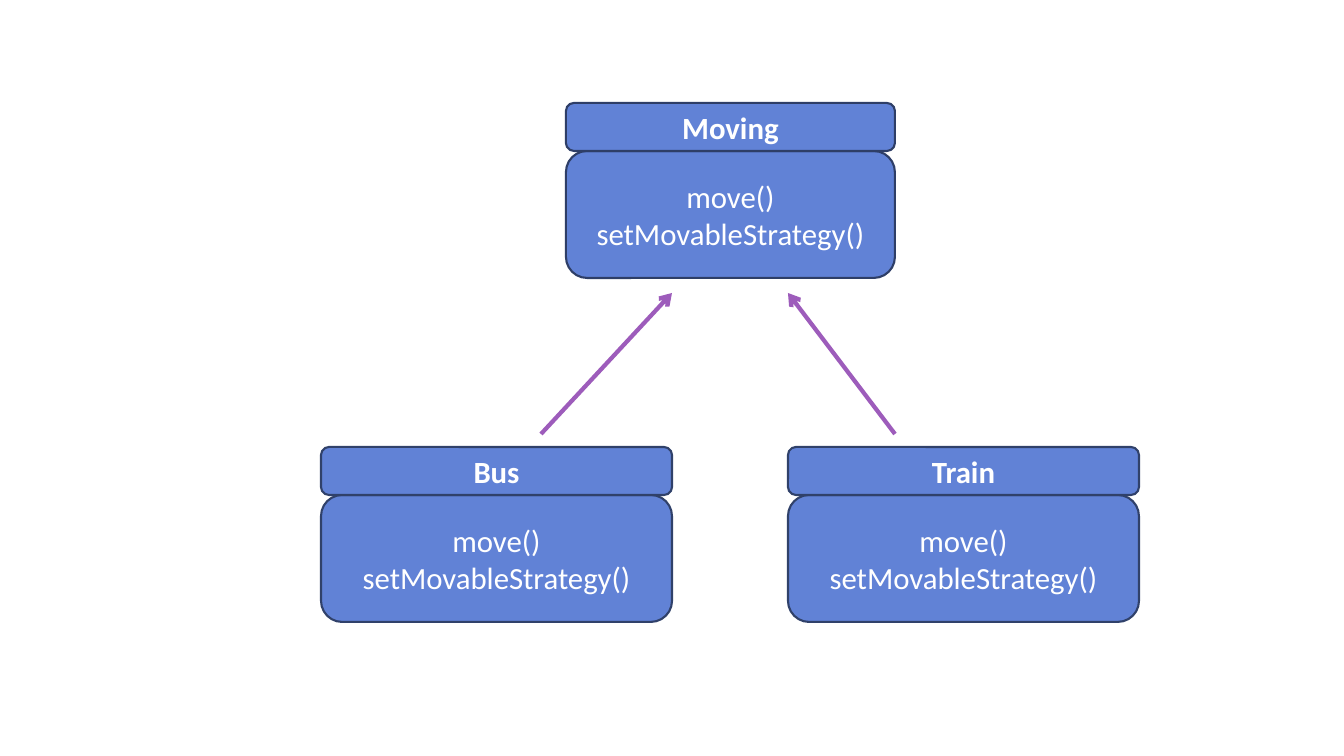
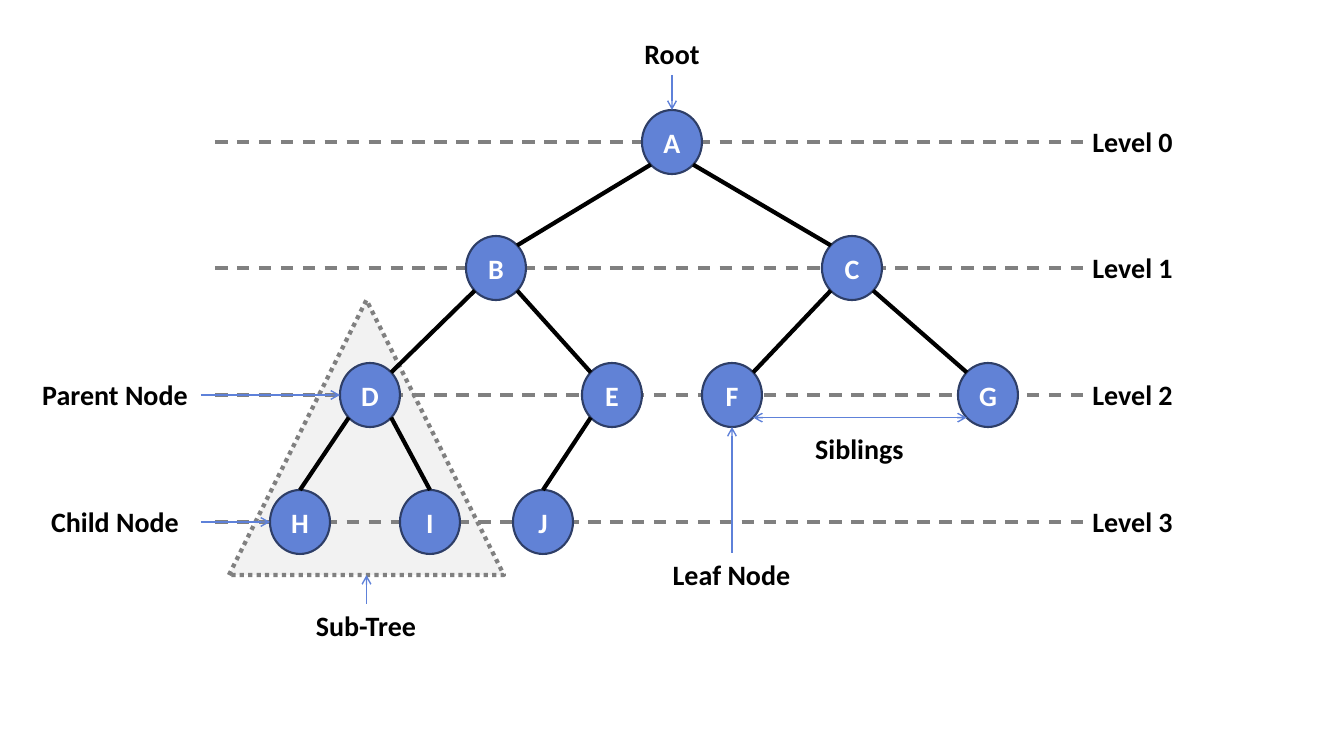
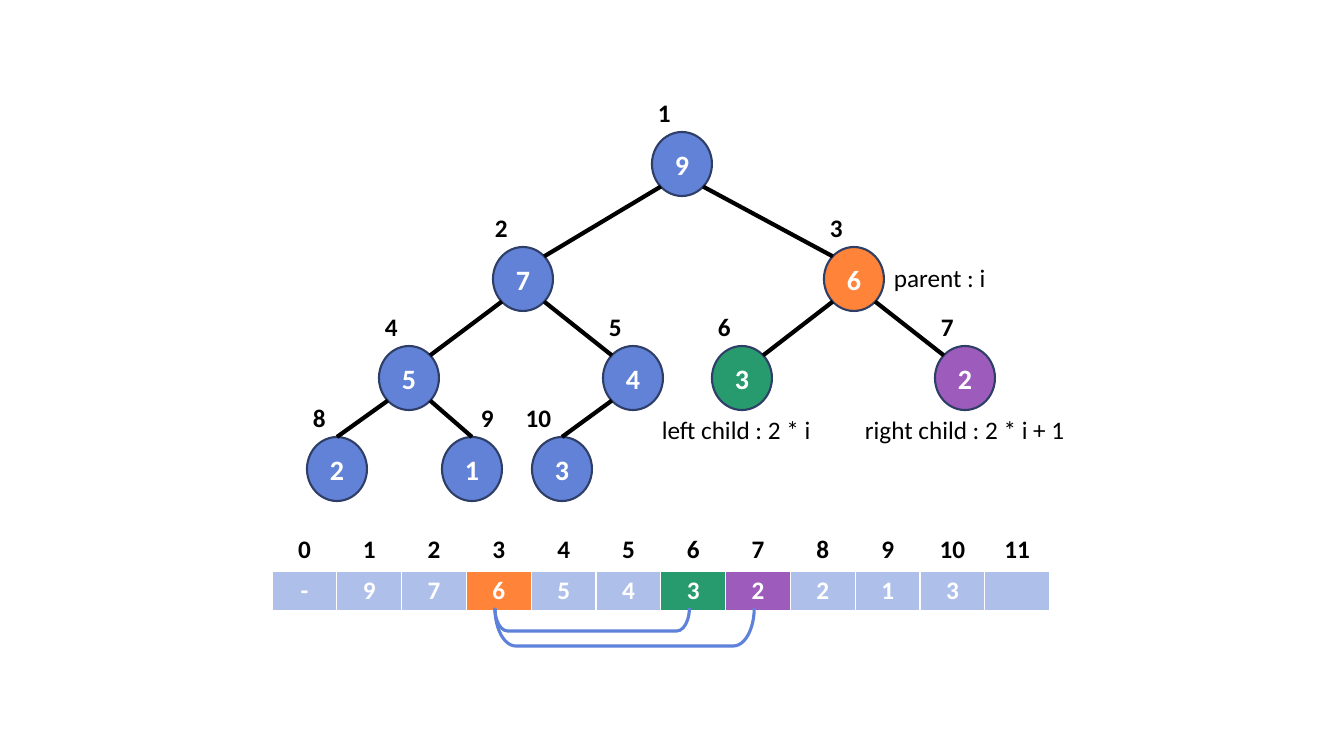
from collections import namedtuple
from dataclasses import dataclass
from math import sqrt

from lxml.etree import SubElement
from pptx import Presentation
from pptx.dml.color import RGBColor
from pptx.enum.dml import MSO_LINE
from pptx.enum.shapes import MSO_CONNECTOR, MSO_SHAPE
from pptx.enum.text import MSO_ANCHOR, PP_ALIGN
from pptx.oxml.ns import qn
from pptx.util import Emu, Pt

EMU_PER_PIXEL = 914400 / 100.8
Box = namedtuple("Box", "left top width height")


@dataclass(frozen=True)
class Theme:
    """Colours, type sizes and line widths that the slides share."""
    font: str = "Calibri"
    card_size: int = 22
    label_size: int = 20
    note_size: int = 18
    blue: str = "6182D6"
    pale_blue: str = "AEBFEA"
    pointer_blue: str = "5E81D9"
    orange: str = "FF843A"
    green: str = "289B6E"
    purple: str = "9D5CBB"
    outline: str = "2E3E67"
    card_outline: str = "30416A"
    grey: str = "808080"
    pale_grey: str = "F2F2F2"
    black: str = "000000"
    white: str = "FFFFFF"
    outline_width: float = 1.5
    edge_width: float = 3
    guide_width: float = 2.25
    pointer_width: float = 1


THEME = Theme()
NODE_WIDTH, NODE_HEIGHT = 60, 64
DIAGONAL_X = NODE_WIDTH / 2 / sqrt(2)
DIAGONAL_Y = NODE_HEIGHT / 2 / sqrt(2)


def px(length):
    """Turn pixels into EMU."""
    return Emu(round(length * EMU_PER_PIXEL))


def rgb(code):
    """Turn a hex code into a colour."""
    return RGBColor.from_string(code)


def write(frame, text, size=THEME.label_size, color=THEME.black, bold=True,
          align=PP_ALIGN.CENTER):
    """Fill a text frame, one paragraph for each line of text."""
    for number, line in enumerate(text.split("\n")):
        para = frame.add_paragraph() if number else frame.paragraphs[0]
        para.alignment = align
        span = para.add_run()
        span.text = line
        span.font.name = THEME.font
        span.font.size = Pt(size)
        span.font.bold = bold
        span.font.color.rgb = rgb(color)


def add_label(page, box, text, wrap=False, **text_format):
    """Add a text box."""
    label = page.shapes.add_textbox(*map(px, box))
    label.text_frame.word_wrap = wrap
    write(label.text_frame, text, **text_format)


def add_figure(shapes, kind, box, fill=THEME.blue, line=THEME.outline,
               width=THEME.outline_width):
    """Add a preset shape without a shadow; fill may be None."""
    figure = shapes.add_shape(kind, *map(px, box))
    figure.shadow.inherit = False
    if fill:
        figure.fill.solid()
        figure.fill.fore_color.rgb = rgb(fill)
    else:
        figure.fill.background()
    figure.line.color.rgb = rgb(line)
    figure.line.width = Pt(width)
    return figure


def add_line(page, start, end, color=THEME.black, width=THEME.edge_width,
             dash=None, arrows=()):
    """Add a straight line; arrows names the ends that carry a head."""
    connector = page.shapes.add_connector(
        MSO_CONNECTOR.STRAIGHT, *map(px, (*start, *end)))
    connector.line.color.rgb = rgb(color)
    connector.line.width = Pt(width)
    if dash:
        connector.line.dash_style = dash
    properties = connector._element.spPr
    for arrow in arrows:
        SubElement(properties.find(qn("a:ln")), qn(f"a:{arrow}"), type="arrow")
    SubElement(properties, qn("a:effectLst"))


def add_pointer(page, start, end, arrows=("tailEnd",)):
    """Add a thin blue arrow."""
    add_line(page, start, end, color=THEME.pointer_blue,
             width=THEME.pointer_width, arrows=arrows)


def add_class_card(page, box, name, methods, outline):
    """Add a class: its methods under a header with its name."""
    header_height = 48
    group = page.shapes.add_group_shape()
    parts = (
        (Box(box.left, box.top + header_height, box.width,
             box.height - header_height), methods, False),
        (Box(box.left, box.top, box.width, header_height), name, True),
    )
    for part, text, bold in parts:
        card = add_figure(group.shapes, MSO_SHAPE.ROUNDED_RECTANGLE, part,
                          line=outline)
        card.text_frame.vertical_anchor = MSO_ANCHOR.MIDDLE
        write(card.text_frame, text, size=THEME.card_size, color=THEME.white,
              bold=bold)


def add_tree(page, box, texts, columns, rows, fills=None):
    """Draw a binary tree in heap order and return the node centres by index.

    Columns and rows are the centres of nodes and levels within the box.
    """
    fills = fills or {}
    centres = {}
    for index, (text, column) in enumerate(zip(texts, columns), start=1):
        x, y = box.left + column, box.top + rows[index.bit_length() - 1]
        centres[index] = x, y
        node = add_figure(
            page.shapes, MSO_SHAPE.OVAL,
            Box(x - NODE_WIDTH / 2, y - NODE_HEIGHT / 2, NODE_WIDTH, NODE_HEIGHT),
            fill=fills.get(index, THEME.blue))
        node.text_frame.vertical_anchor = MSO_ANCHOR.MIDDLE
        write(node.text_frame, text, color=THEME.white)
    for index, (x, y) in centres.items():
        if index == 1:
            continue
        parent_x, parent_y = centres[index // 2]
        side = DIAGONAL_X if x > parent_x else -DIAGONAL_X
        if index.bit_length() == len(rows):
            end = x, y - NODE_HEIGHT / 2
        else:
            end = x - side, y - DIAGONAL_Y
        add_line(page, (parent_x + side, parent_y + DIAGONAL_Y), end)
    return centres


def add_levels(page, box, rows):
    """Draw a dashed guide across the box for each level, with its label."""
    right = box.left + box.width
    for level, row in enumerate(rows):
        y = box.top + row
        add_line(page, (box.left, y), (right, y), color=THEME.grey,
                 width=THEME.guide_width, dash=MSO_LINE.DASH)
        add_label(page, Box(right - 1, y - 22, 101, 43), f"Level {level}")


def add_array(page, box, values, fills):
    """Add the array as a table with a row of indexes over its values."""
    table = page.shapes.add_table(2, len(values), *map(px, box)).table
    table.first_row = table.horz_banding = False
    for column in table.columns:
        column.width = px(box.width / len(values))
    for row in table.rows:
        row.height = px(box.height / 2)
    for index, value in enumerate(values):
        cells = (
            (str(index), THEME.black, THEME.white, 3),
            (value, THEME.white, fills.get(index, THEME.pale_blue), 1),
        )
        for row, (text, color, fill, bottom_width) in enumerate(cells):
            cell = table.cell(row, index)
            add_borders(cell, bottom_width)
            cell.fill.solid()
            cell.fill.fore_color.rgb = rgb(fill)
            write(cell.text_frame, text, size=THEME.note_size, color=color)


def add_borders(cell, bottom_width):
    """Give a cell white borders, before its fill is set."""
    properties = cell._tc.get_or_add_tcPr()
    widths = {"lnL": 1, "lnR": 1, "lnT": 1, "lnB": bottom_width}
    for side, width in widths.items():
        border = SubElement(properties, qn(f"a:{side}"), w=str(Pt(width)))
        fill = SubElement(border, qn("a:solidFill"))
        SubElement(fill, qn("a:srgbClr"), val=THEME.white)


def add_bracket(page, box):
    """Add a bracket that opens upwards and fills the box."""
    shift = (box.width - box.height) / 2
    upright = Box(box.left + shift, box.top - shift, box.height, box.width)
    bracket = add_figure(page.shapes, MSO_SHAPE.RIGHT_BRACKET, upright, fill=None,
                         line=THEME.pointer_blue, width=THEME.guide_width)
    bracket.adjustments[0] = 0.55
    bracket.rotation = 90


def build_class_slide(page, box):
    """Show two classes that inherit from one."""
    methods = "move()\nsetMovableStrategy()"
    cards = (
        ("Bus", 0, 344, 351, THEME.card_outline),
        ("Train", 467, 344, 351, THEME.card_outline),
        ("Moving", 245, 0, 329, THEME.outline),
    )
    for name, left, top, width, outline in cards:
        add_class_card(page, Box(box.left + left, box.top + top, width, 175),
                       name, methods, outline)
    for start_x, end_x in ((220, 351), (574, 467)):
        add_line(page, (box.left + start_x, box.top + 331),
                 (box.left + end_x, box.top + 190),
                 color=THEME.purple, arrows=("tailEnd",))


def build_terms_slide(page, box):
    """Name the parts of a tree."""
    rows = [level * 380 // 3 for level in range(4)]
    triangle = Box(box.left + 14, box.top + 158, 275, 275)
    subtree = add_figure(page.shapes, MSO_SHAPE.ISOSCELES_TRIANGLE, triangle,
                         fill=THEME.pale_grey, line=THEME.grey,
                         width=THEME.edge_width)
    subtree.line.dash_style = MSO_LINE.ROUND_DOT
    add_levels(page, box, rows)
    columns = (457, 281, 637, 155, 397, 517, 773, 85, 215, 328)
    centres = add_tree(page, box, "ABCDEFGHIJ", columns, rows)

    root_x, root_y = centres[1]
    root_top = root_y - NODE_HEIGHT / 2
    add_pointer(page, (root_x, root_top - 35), (root_x, root_top))
    add_label(page, Box(root_x - 38, root_top - 78, 76, 43), "Root")

    for text, index in (("Parent Node", 4), ("Child Node", 8)):
        x, y = centres[index]
        add_pointer(page, (box.left - 14, y), (x - NODE_WIDTH / 2, y))
        add_label(page, Box(box.left - 186, y - 22, 172, 43), text)

    leaf_x, leaf_y = centres[6]
    leaf_bottom = leaf_y + NODE_HEIGHT / 2
    add_pointer(page, (leaf_x, leaf_bottom + 126), (leaf_x, leaf_bottom))
    add_label(page, Box(leaf_x - 79, leaf_bottom + 126, 157, 43), "Leaf Node")

    sibling_y = leaf_y + DIAGONAL_Y
    add_pointer(page, (leaf_x + DIAGONAL_X, sibling_y),
                (centres[7][0] - DIAGONAL_X, sibling_y),
                arrows=("headEnd", "tailEnd"))
    add_label(page, Box(leaf_x + 49, leaf_bottom, 157, 43), "Siblings")

    middle = triangle.left + triangle.width / 2
    bottom = triangle.top + triangle.height
    add_pointer(page, (middle, bottom + 29), (middle, bottom))
    add_label(page, Box(middle - 79, bottom + 29, 157, 43), "Sub-Tree")


def build_heap_slide(page, box):
    """Show a heap as a tree and as an array."""
    values = "9765432213"
    fills = {3: THEME.orange, 6: THEME.green, 7: THEME.purple}
    columns = (410, 251, 582, 137, 361, 470, 693, 65, 200, 290)
    centres = add_tree(page, box, values, columns, (32, 147, 246, 337), fills)

    index_shifts = {2: -8, 9: 29, 10: -20}
    for index, (x, y) in centres.items():
        wide = index > 9
        add_label(
            page,
            Box(x - NODE_WIDTH / 2 + index_shifts.get(index, -4),
                y - NODE_HEIGHT / 2 - 40, 49 if wide else 34, 40),
            str(index), wrap=True, size=THEME.note_size,
            align=PP_ALIGN.RIGHT if wide else PP_ALIGN.LEFT)

    notes = (
        ("parent : i", 3, 30, -22, 202),
        ("left child : 2 * i", 6, -90, 31, 202),
        ("right child : 2 * i + 1", 7, -110, 31, 231),
    )
    for text, index, right, down, width in notes:
        x, y = centres[index]
        add_label(page, Box(x + right, y + down, width, 40), text, wrap=True,
                  size=THEME.note_size, bold=False, align=PP_ALIGN.LEFT)

    array = Box(box.left, box.top + 397, box.width, 82)
    cells = ["-", *values, ""]
    add_array(page, array, cells, fills)
    cell_width = array.width / len(cells)
    for child, depth in ((6, 23), (7, 38)):
        add_bracket(page, Box(array.left + 3.5 * cell_width - 4,
                              array.top + array.height - 3,
                              (child - 3) * cell_width, depth))


def main():
    """Build the deck."""
    deck = Presentation()
    deck.slide_width, deck.slide_height = px(1344), px(756)
    slides = (
        (build_class_slide, Box(321, 103, 818, 519)),
        (build_terms_slide, Box(215, 142, 868, 433)),
        (build_heap_slide, Box(272, 132, 778, 515)),
    )
    for build, box in slides:
        build(deck.slides.add_slide(deck.slide_layouts[6]), box)
    deck.save("out.pptx")


main()
